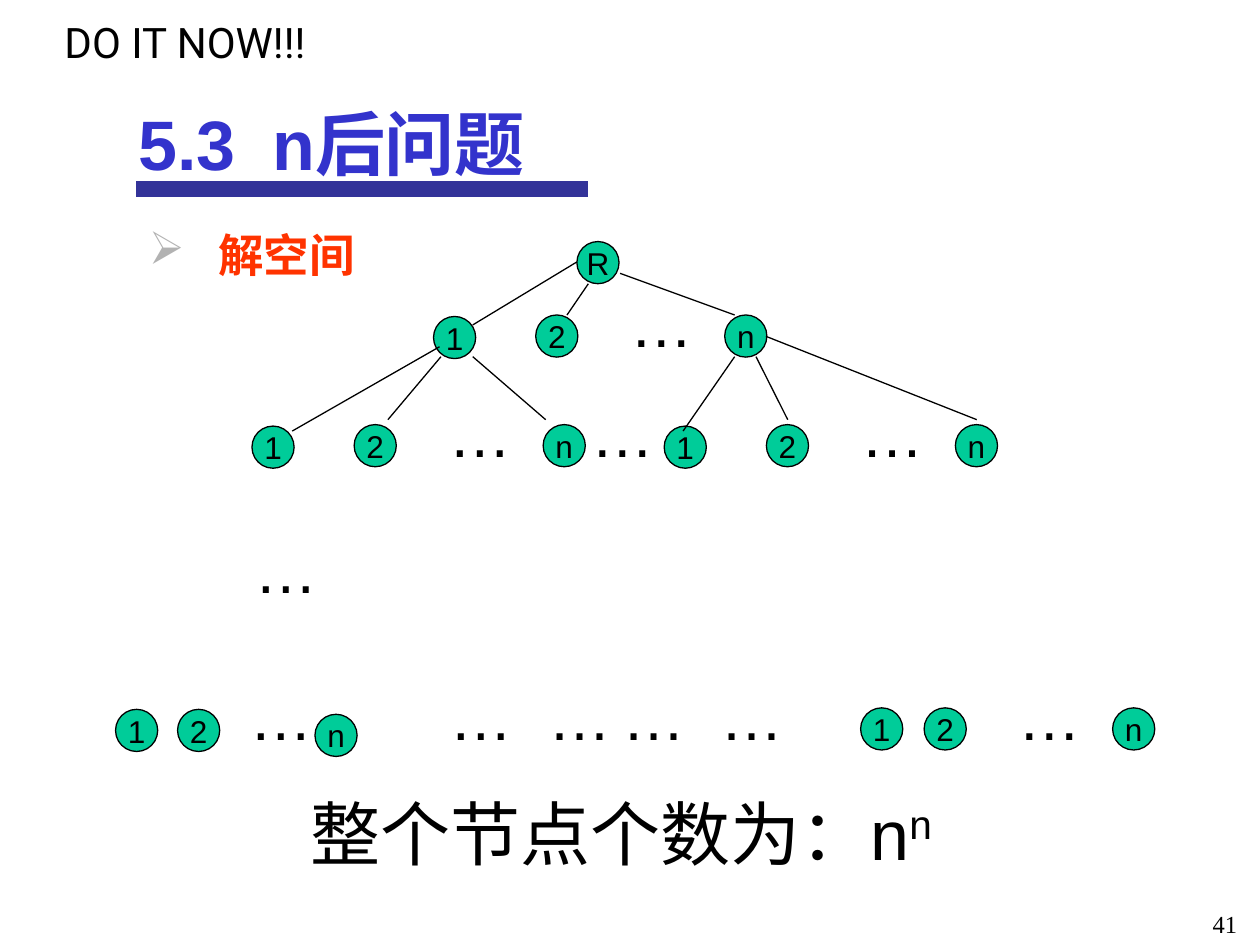
"""Build the n-queens solution space slide."""
from lxml import etree
from pptx import Presentation
from pptx.dml.color import RGBColor
from pptx.enum.shapes import MSO_CONNECTOR, MSO_SHAPE
from pptx.enum.text import MSO_ANCHOR, PP_ALIGN
from pptx.oxml.ns import qn
from pptx.util import Cm, Pt

LINE, OVAL = MSO_CONNECTOR.STRAIGHT, MSO_SHAPE.OVAL
MIDDLE = MSO_ANCHOR.MIDDLE
LEFT, CENTER, RIGHT = PP_ALIGN.LEFT, PP_ALIGN.CENTER, PP_ALIGN.RIGHT
BLACK = RGBColor(0x00, 0x00, 0x00)
GREEN = RGBColor(0x00, 0xCC, 0x99)
BLUE = RGBColor(0x33, 0x33, 0xCC)
NAVY = RGBColor(0x33, 0x33, 0x99)
RED = RGBColor(0xFF, 0x33, 0x00)
DIAMETER = 0.85
DOTS_SIZE = 1.78

FAMILY = [("1", 0, 0.03), ("2", 2.06, 0), ("n", 5.87, 0)]
FAMILY_DOTS = 3.71
FAMILIES = [(8.74, 6.35, 5.61), (5.08, 8.56, 7.82), (13.39, 8.56, 7.82)]
OTHER_NODES = [
    ("R", 11.63, 4.87),
    ("1", 2.33, 14.3), ("2", 3.58, 14.3), ("n", 6.35, 14.4),
    ("1", 17.35, 14.27), ("2", 18.63, 14.27), ("n", 22.43, 14.27),
]
OTHER_DOTS = [(11.66, 7.82), (4.88, 10.58)]
LEAF_DOTS = [4.78, 8.81, 10.8, 12.29, 14.27, 20.27]
LEAF_DOTS_TOP = 13.54
EDGES = [
    (11.63, 5.28, 9.53, 6.55), (11.86, 5.72, 11.43, 6.35), (12.5, 5.51, 14.81, 6.35),
    (8.86, 6.99, 5.89, 8.69), (8.89, 7.19, 7.82, 8.46), (9.53, 7.19, 11, 8.46),
    (14.81, 7.19, 13.77, 8.69), (15.24, 7.19, 15.88, 8.46), (15.44, 6.78, 19.69, 8.46),
]


def set_font(font, size, color=BLACK, name="Arial", bold=False):
    font.name, font.size, font.bold = name, Pt(size), bold
    font.color.rgb = color


def add_text(s, box, text, size, color=BLACK, name="Arial", bold=False, align=LEFT, wrap=False):
    tf = s.shapes.add_textbox(*map(Cm, box)).text_frame
    tf.word_wrap = wrap
    p = tf.paragraphs[0]
    p.text, p.alignment = text, align
    set_font(p.font, size, color, name, bold)
    return p


def add_line(s, ends, color=BLACK, width=0.75):
    sp = s.shapes.add_connector(LINE, *map(Cm, ends))
    sp.line.color.rgb, sp.line.width = color, Pt(width)
    etree.SubElement(sp._element.spPr, qn("a:effectLst"))


def add_node(s, label, x, y):
    sp = s.shapes.add_shape(OVAL, Cm(x), Cm(y), Cm(DIAMETER), Cm(DIAMETER))
    sp.shadow.inherit = False
    sp.fill.solid()
    sp.fill.fore_color.rgb = GREEN
    sp.line.color.rgb, sp.line.width = BLACK, Pt(0.75)
    tf = sp.text_frame
    tf.word_wrap, tf.vertical_anchor = False, MIDDLE
    p = tf.paragraphs[0]
    p.text, p.alignment = label, CENTER
    set_font(p.font, 18)


def add_bullet(p, char, color, indent):
    pPr = p._p.get_or_add_pPr()
    pPr.set("marL", str(Cm(indent)))
    pPr.set("indent", str(-Cm(indent)))
    clr = etree.Element(qn("a:buClr"))
    etree.SubElement(clr, qn("a:srgbClr"), val=color)
    pPr.insert(0, clr)
    pPr.insert(1, etree.Element(qn("a:buChar"), char=char))


def add_tab(p, pos):
    tabs = etree.Element(qn("a:tabLst"))
    etree.SubElement(tabs, qn("a:tab"), pos=str(Cm(pos)), algn="l")
    p._p.get_or_add_pPr().find(qn("a:defRPr")).addprevious(tabs)


def main():
    prs = Presentation()
    prs.slide_width, prs.slide_height = Cm(25.4), Cm(19.05)
    s = prs.slides.add_slide(prs.slide_layouts[6])

    add_line(s, (2.75, 3.81, 11.85, 3.81), NAVY, 9.5)
    add_text(s, (1.05, 0.2, 6.62, 1.27), "DO IT NOW!!!", 24, name="Roboto")
    add_text(s, (19.9, 18.2, 5.29, 0.64), "41", 14, name="Times New Roman",
             align=RIGHT, wrap=True)
    p = add_text(s, (2.75, 4.45, 13.34, 1.37), "解空间", 26, RED, bold=True, wrap=True)
    add_bullet(p, "➢", "B2B2B2", 1.4)

    nodes, dots = list(OTHER_NODES), list(OTHER_DOTS)
    for left, top, dots_top in FAMILIES:
        nodes += [(label, left + dx, top + dy) for label, dx, dy in FAMILY]
        dots.append((left + FAMILY_DOTS, dots_top))
    dots += [(x, LEAF_DOTS_TOP) for x in LEAF_DOTS]
    for node in nodes:
        add_node(s, *node)
    for edge in EDGES:
        add_line(s, edge)
    for x, y in dots:
        add_text(s, (x, y, DOTS_SIZE, DOTS_SIZE), "…", 36)

    p = add_text(s, (6.02, 15.82, 13.36, 1.96), "整个节点个数为：n", 40)
    r = p.add_run()
    r.text = "n"
    r.font._element.set("baseline", "30000")

    p = add_text(s, (2.54, 1.57, 17.09, 2.29), "5.3\tn后问题", 40, BLUE, bold=True, wrap=True)
    p.line_spacing = 1.2
    add_tab(p, 2.7)
    prs.save("out.pptx")


if __name__ == "__main__":
    main()
